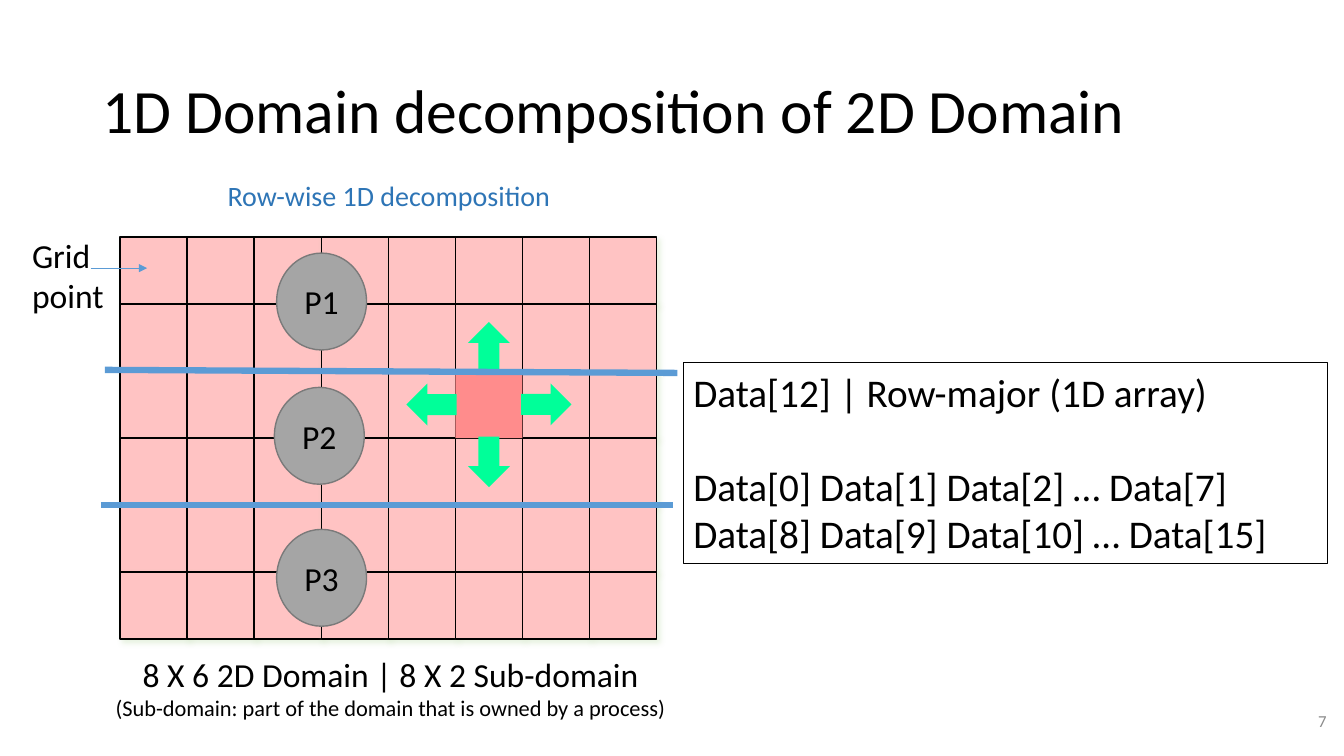
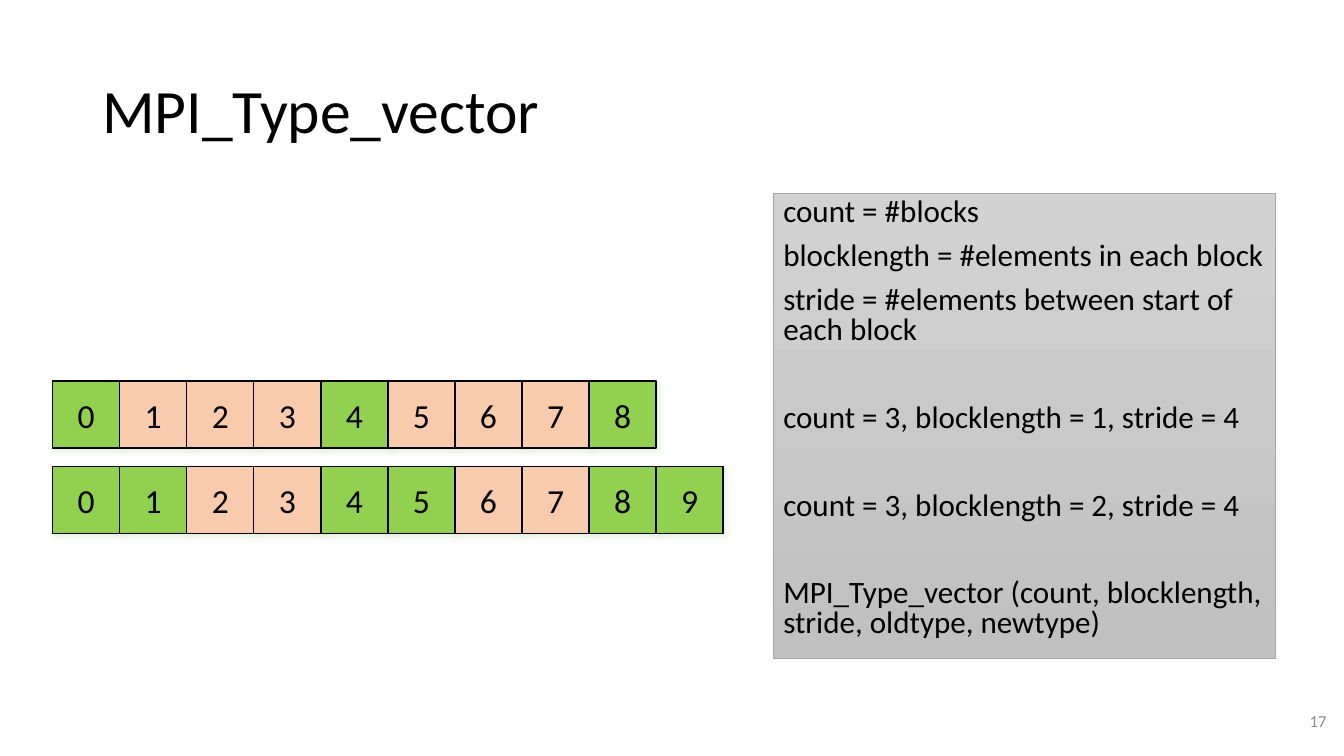
"""Build two slides on domain decomposition and strided vector types."""
import math
from dataclasses import dataclass

import lxml.etree
import pptx
import pptx.dml.color
import pptx.enum.shapes
import pptx.enum.text
import pptx.oxml.ns
import pptx.util

Pt = pptx.util.Pt
qn = pptx.oxml.ns.qn
SHAPE = pptx.enum.shapes.MSO_SHAPE
ALIGN = pptx.enum.text.PP_ALIGN
ANCHOR = pptx.enum.text.MSO_ANCHOR


@dataclass(frozen=True)
class Theme:
    font: str = "Calibri"
    ink: str = "000000"
    muted: str = "8C8C8C"
    heading: str = "2E75B6"
    rule: str = "5B9BD5"
    domain: str = "FFC3C3"
    active: str = "FF8C8C"
    neighbour: str = "00FF99"
    process: str = "A5A5A5"
    process_edge: str = "7A7A7A"
    picked: str = "92D050"
    skipped: str = "F8CBAD"
    glow: str = "C5E0B4"
    panel_top: str = "D2D2D2"
    panel_bottom: str = "C0C0C0"
    title_size: float = 44
    code_size: float = 28
    body_size: float = 24
    panel_size: float = 22.2
    heading_size: float = 20
    note_size: float = 16
    number_size: float = 12
    cell: float = 47.9


class Deck:
    def __init__(self, theme):
        self.theme = theme
        self.show = pptx.Presentation()
        self.show.slide_width, self.show.slide_height = Pt(960), Pt(540)
        self.slide = None

    def color(self, code):
        return pptx.dml.color.RGBColor.from_string(code)

    def start(self, title, number):
        self.slide = self.show.slides.add_slide(self.show.slide_layouts[6])
        self.text((66, 28.8, 828, 104.4), [title], self.theme.title_size,
                  anchor=ANCHOR.MIDDLE, spacing=0.9)
        self.text((738.7, 500.4, 216, 28.8), [number], self.theme.number_size,
                  self.theme.muted, ALIGN.RIGHT, ANCHOR.MIDDLE)

    def fill_text(self, holder, lines, size, color=None, align=ALIGN.LEFT,
                  anchor=ANCHOR.TOP, wrap=True, spacing=None):
        frame = holder.text_frame
        frame.word_wrap, frame.vertical_anchor = wrap, anchor
        for index, line in enumerate(lines):
            words, line_size, before = line if isinstance(line, tuple) else (line, size, 0)
            paragraph = frame.add_paragraph() if index else frame.paragraphs[0]
            paragraph.alignment = align
            paragraph.space_before = Pt(before)
            if spacing:
                paragraph.line_spacing = spacing
            run = paragraph.add_run()
            run.text = words
            run.font.name, run.font.size = self.theme.font, Pt(line_size)
            run.font.color.rgb = self.color(color or self.theme.ink)

    def text(self, box, lines, size, *args, **style):
        self.fill_text(self.slide.shapes.add_textbox(*map(Pt, box)), lines, size, *args, **style)

    def shape(self, kind, box, fill=None, edge=None, weight=1):
        part = self.slide.shapes.add_shape(kind, *map(Pt, box))
        if fill:
            part.fill.solid()
            part.fill.fore_color.rgb = self.color(fill)
        else:
            part.fill.background()
        if edge:
            part.line.color.rgb = self.color(edge)
            part.line.width = Pt(weight)
        else:
            part.line.fill.background()
        part.shadow.inherit = False
        return part

    def cell(self, left, top, fill, label=None):
        side = self.theme.cell
        square = self.shape(SHAPE.RECTANGLE, (left, top, side, side), fill, self.theme.ink)
        effects = square._element.spPr.find(qn("a:effectLst"))
        shadow = lxml.etree.SubElement(
            effects, qn("a:outerShdw"), blurRad=str(Pt(4)), dist=str(Pt(3)),
            dir="2700000", algn="tl", rotWithShape="0")
        tint = lxml.etree.SubElement(shadow, qn("a:srgbClr"), val=self.theme.glow)
        lxml.etree.SubElement(tint, qn("a:alpha"), val="40000")
        if label:
            self.fill_text(square, [label], self.theme.body_size, align=ALIGN.CENTER,
                           anchor=ANCHOR.MIDDLE, wrap=False)

    def line(self, ends, weight, arrow=False):
        link = self.slide.shapes.add_connector(
            pptx.enum.shapes.MSO_CONNECTOR.STRAIGHT, *map(Pt, ends))
        link.line.color.rgb = self.color(self.theme.rule)
        link.line.width = Pt(weight)
        properties = link._element.spPr
        if arrow:
            lxml.etree.SubElement(properties.find(qn("a:ln")), qn("a:tailEnd"), type="triangle")
        lxml.etree.SubElement(properties, qn("a:effectLst"))

    def panel(self, box, lines):
        theme = self.theme
        board = self.shape(SHAPE.RECTANGLE, box, theme.panel_top, theme.process, 0.5)
        board.fill.gradient()
        board.fill.gradient_angle = 270
        for stop, code in zip(board.fill.gradient_stops, (theme.panel_top, theme.panel_bottom)):
            stop.color.rgb = self.color(code)
        self.fill_text(board, lines, theme.panel_size, spacing=0.8)


def decomposition(deck):
    theme = deck.theme
    side = theme.cell
    deck.start("1D Domain decomposition of 2D Domain", "7")
    grid_left, grid_top = 85.8, 169.2
    for row in range(6):
        for column in range(8):
            deck.cell(grid_left + column * side, grid_top + row * side, theme.domain)

    deck.text((15.8, 164.2, 87.1, 65.5), ["Grid point"], theme.body_size)
    deck.line((64.8, 191.5, 105.1, 191.5), 0.5, arrow=True)

    active_left, active_top = grid_left + 5 * side, grid_top + 2 * side
    deck.shape(SHAPE.RECTANGLE, (active_left, active_top, side, side), theme.active)
    length, breadth, reach = 36, 30, 41
    for angle in range(0, 360, 90):
        middle = active_left + side / 2 + reach * math.cos(math.radians(angle))
        level = active_top + side / 2 + reach * math.sin(math.radians(angle))
        neighbour = deck.shape(
            SHAPE.RIGHT_ARROW,
            (middle - length / 2, level - breadth / 2, length, breadth), theme.neighbour)
        neighbour.rotation = angle

    for border in ((74.9, 264.2, 483.8, 266.4), (72, 360.7, 481, 360.7)):
        deck.line(border, 4.5)
    for name, left, top in (("P1", 197.6, 180.8), ("P2", 196, 276.7), ("P3", 197.6, 378.1)):
        process = deck.shape(SHAPE.OVAL, (left, top, 64.2, 69.2),
                             theme.process, theme.process_edge)
        deck.fill_text(process, [name], theme.body_size, align=ALIGN.CENTER,
                       anchor=ANCHOR.MIDDLE, wrap=False)

    storage = deck.shape(SHAPE.RECTANGLE, (488.2, 259.2, 460.1, 143.3), edge=theme.ink, weight=0.75)
    deck.fill_text(storage, ["Data[12] | Row-major (1D array)",
                             ("Data[0] Data[1] Data[2] … Data[7]", theme.code_size, 34),
                             "Data[8] Data[9] Data[10] … Data[15]"], theme.code_size)
    deck.text((74.9, 463.7, 408.2, 55.4),
              ["8 X 6 2D Domain | 8 X 2 Sub-domain",
               ("(Sub-domain: part of the domain that is owned by a process)", theme.note_size, 0)],
              theme.body_size, align=ALIGN.CENTER, wrap=False)
    deck.text((155.5, 123.8, 247.7, 31.7), ["Row-wise 1D decomposition"],
              theme.heading_size, theme.heading, wrap=False)


def vector_type(deck):
    theme = deck.theme
    deck.start("MPI_Type_vector", "17")
    stride = 4
    for top, elements, block_length in ((272.2, 9, 1), (333.4, 10, 2)):
        for index in range(elements):
            fill = theme.picked if index % stride < block_length else theme.skipped
            deck.cell(37.6 + index * theme.cell, top, fill, str(index))

    near, far = 10, 41.5
    lines = (("count = #blocks", 0),
             ("blocklength = #elements in each block", near),
             ("stride = #elements between start of each block", near),
             ("count = 3, blocklength = 1, stride = 4", far),
             ("count = 3, blocklength = 2, stride = 4", far),
             ("MPI_Type_vector (count, blocklength, stride, oldtype, newtype)", far))
    deck.panel((552.4, 138.4, 358.6, 331.9),
               [(words, theme.panel_size, before) for words, before in lines])


def main():
    deck = Deck(Theme())
    decomposition(deck)
    vector_type(deck)
    deck.show.save("out.pptx")


if __name__ == "__main__":
    main()
